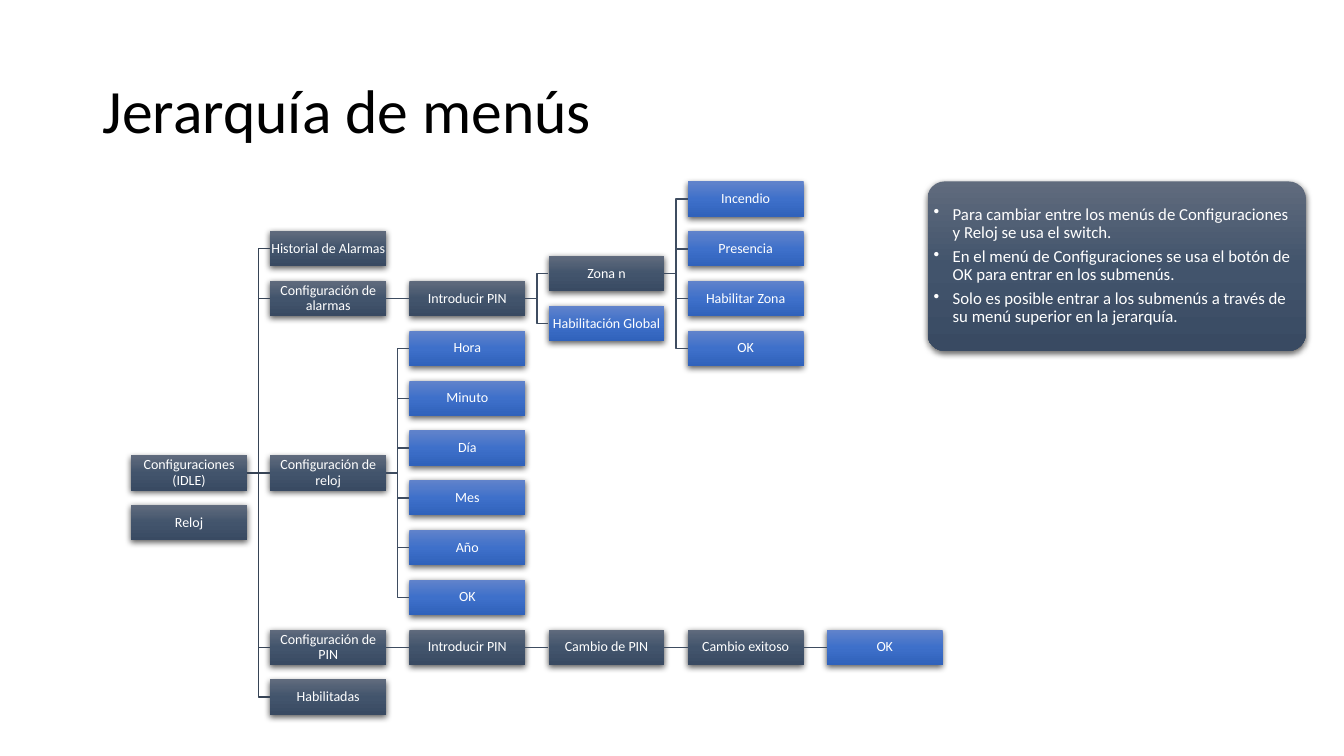
from lxml import etree
from pptx import Presentation
from pptx.dml.color import RGBColor
from pptx.enum.shapes import MSO_CONNECTOR, MSO_SHAPE
from pptx.enum.text import MSO_ANCHOR, PP_ALIGN
from pptx.oxml.ns import qn
from pptx.util import Inches, Pt

RECTANGLE, ROUNDED = MSO_SHAPE.RECTANGLE, MSO_SHAPE.ROUNDED_RECTANGLE
STRAIGHT, ELBOW = MSO_CONNECTOR.STRAIGHT, MSO_CONNECTOR.ELBOW
MIDDLE, CENTER, LEFT = MSO_ANCHOR.MIDDLE, PP_ALIGN.CENTER, PP_ALIGN.LEFT
RIGHT_SIDE, LEFT_SIDE = 3, 1

SLATE = ("606B7D", "42546C", "394A62")
BLUE = ("6183CB", "3E70CA", "3062BB")
ROOT_LINE, BRANCH_LINE = "364355", "3E4C60"
WHITE, BLACK = "FFFFFF", "000000"
NODE_WIDTH, NODE_HEIGHT = 1.15, 0.35
LAST_LEVEL, LAST_ROW = 5, 10

CLOCK_FIELDS = ["Hora", "Minuto", "Día", "Mes", "Año", "OK"]
ZONE_OPTIONS = ["Incendio", "Presencia", "Habilitar Zona", "OK"]
# Each menu is (label, submenus), and a final option is (label, row).
MENUS = [
    ("Configuraciones (IDLE)", [
        ("Historial de Alarmas", 1),
        ("Configuración de alarmas", [
            ("Introducir PIN", [
                ("Zona n", [(option, row) for row, option in enumerate(ZONE_OPTIONS)]),
                ("Habilitación Global", 2.5),
            ]),
        ]),
        ("Configuración de reloj", [(field, row) for row, field in enumerate(CLOCK_FIELDS, 3)]),
        ("Configuración de PIN", [
            ("Introducir PIN", [("Cambio de PIN", [("Cambio exitoso", [("OK", 9)])])]),
        ]),
        ("Habilitadas", 10),
    ]),
    ("Reloj", 6.5),
]
NOTES = [
    "Para cambiar entre los menús de Configuraciones y Reloj se usa el switch.",
    "En el menú de Configuraciones se usa el botón de OK para entrar en los submenús.",
    "Solo es posible entrar a los submenús a través de su menú superior en la jerarquía.",
]


def rgb(hex_color):
    """Return the colour for a hex string."""
    return RGBColor.from_string(hex_color)


def apply_format(target, values):
    """Set every attribute listed in values on target."""
    for attribute, value in values.items():
        setattr(target, attribute, value)


def add_color(parent, hex_color):
    """Append a colour element to an XML parent."""
    return etree.SubElement(parent, qn("a:srgbClr"), val=hex_color)


def write_text(frame, lines, size, color, align, margin, after=0, bullet=None):
    """Fill a text frame with one paragraph per line."""
    margins = {f"margin_{side}": Inches(margin) for side in ("left", "right", "top", "bottom")}
    apply_format(frame, {"word_wrap": True, "vertical_anchor": MIDDLE, **margins})
    for index, line in enumerate(lines):
        paragraph = frame.add_paragraph() if index else frame.paragraphs[0]
        paragraph.text = line
        apply_format(paragraph, {"alignment": align, "line_spacing": 0.9, "space_after": Pt(after)})
        if bullet:
            properties = paragraph._p.get_or_add_pPr()
            properties.set("marL", str(Inches(0.19)))
            properties.set("indent", str(-Inches(0.19)))
            etree.SubElement(properties, qn("a:buChar"), char=bullet)
        font = paragraph.runs[0].font
        apply_format(font, {"size": Pt(size), "name": "Calibri"})
        font.color.rgb = rgb(color)


def add_panel(slide, kind, box, gradient):
    """Add a borderless shape with a vertical gradient and a soft shadow."""
    panel = slide.shapes.add_shape(kind, *map(Inches, box))
    panel.line.fill.background()
    panel.fill.gradient()
    panel.fill.gradient_angle = 270
    stops = panel._element.spPr.find(".//" + qn("a:gsLst"))
    stops.clear()
    for position, color in zip((0, 50000, 100000), gradient):
        add_color(etree.SubElement(stops, qn("a:gs"), pos=str(position)), color)
    panel.shadow.inherit = False
    shadow = etree.SubElement(
        panel._element.spPr.find(qn("a:effectLst")), qn("a:outerShdw"),
        blurRad=str(Pt(4.5)), dist=str(Pt(1.5)), dir="5400000", algn="ctr", rotWithShape="0")
    etree.SubElement(add_color(shadow, BLACK), qn("a:alpha"), val="63000")
    return panel


def menu_row(content):
    """Return an option's row, or the row midway between outer submenus."""
    if not isinstance(content, list):
        return content
    return (menu_row(content[0][1]) + menu_row(content[-1][1])) / 2


def join_menus(slide, parent, child, color):
    """Connect the right side of a menu to the left side of its submenu."""
    kind = STRAIGHT if parent.top == child.top else ELBOW
    branch = slide.shapes.add_connector(kind, 0, 0, 0, 0)
    branch.begin_connect(parent, RIGHT_SIDE)
    branch.end_connect(child, LEFT_SIDE)
    branch.line.width = Pt(1)
    branch.line.color.rgb = rgb(color)
    etree.SubElement(branch._element.spPr, qn("a:effectLst"))


def add_menu(slide, box, menu, level=0):
    """Draw a menu and its submenus inside the hierarchy box."""
    left, top, width, height = box
    label, content = menu
    has_submenus = isinstance(content, list)
    x = left + level * (width - NODE_WIDTH) / LAST_LEVEL
    y = top + menu_row(content) * (height - NODE_HEIGHT) / LAST_ROW
    gradient = SLATE if has_submenus or level < 2 else BLUE
    node = add_panel(slide, RECTANGLE, (x, y, NODE_WIDTH, NODE_HEIGHT), gradient)
    write_text(node.text_frame, [label], 10, WHITE, CENTER, 0.01, after=3.5)
    for submenu in content if has_submenus else []:
        child = add_menu(slide, box, submenu, level + 1)
        join_menus(slide, node, child, BRANCH_LINE if level else ROOT_LINE)
    return node


def add_hierarchy(slide, box):
    """Draw every top-level menu in the box."""
    for menu in MENUS:
        add_menu(slide, box, menu)


def add_title(slide, box):
    """Write the slide title in the box."""
    title = slide.shapes.add_textbox(*map(Inches, box))
    write_text(title.text_frame, ["Jerarquía de menús"], 44, BLACK, LEFT, 0.1)


def add_notes_panel(slide, box):
    """Draw the rounded panel of usage notes in the box."""
    panel = add_panel(slide, ROUNDED, box, SLATE)
    panel.adjustments[0] = 0.1
    write_text(panel.text_frame, NOTES, 12, WHITE, LEFT, 0.01, after=4.2, bullet="•")


def main():
    """Build and save the menu hierarchy slide."""
    presentation = Presentation()
    apply_format(presentation, {"slide_width": Inches(13.33), "slide_height": Inches(7.5)})
    slide = presentation.slides.add_slide(presentation.slide_layouts[6])
    add_title(slide, (0.92, 0.4, 11.5, 1.45))
    add_hierarchy(slide, (1.3, 1.8, 8.05, 5.29))
    add_notes_panel(slide, (9.2, 1.8, 3.75, 1.68))
    presentation.save("out.pptx")


if __name__ == "__main__":
    main()
